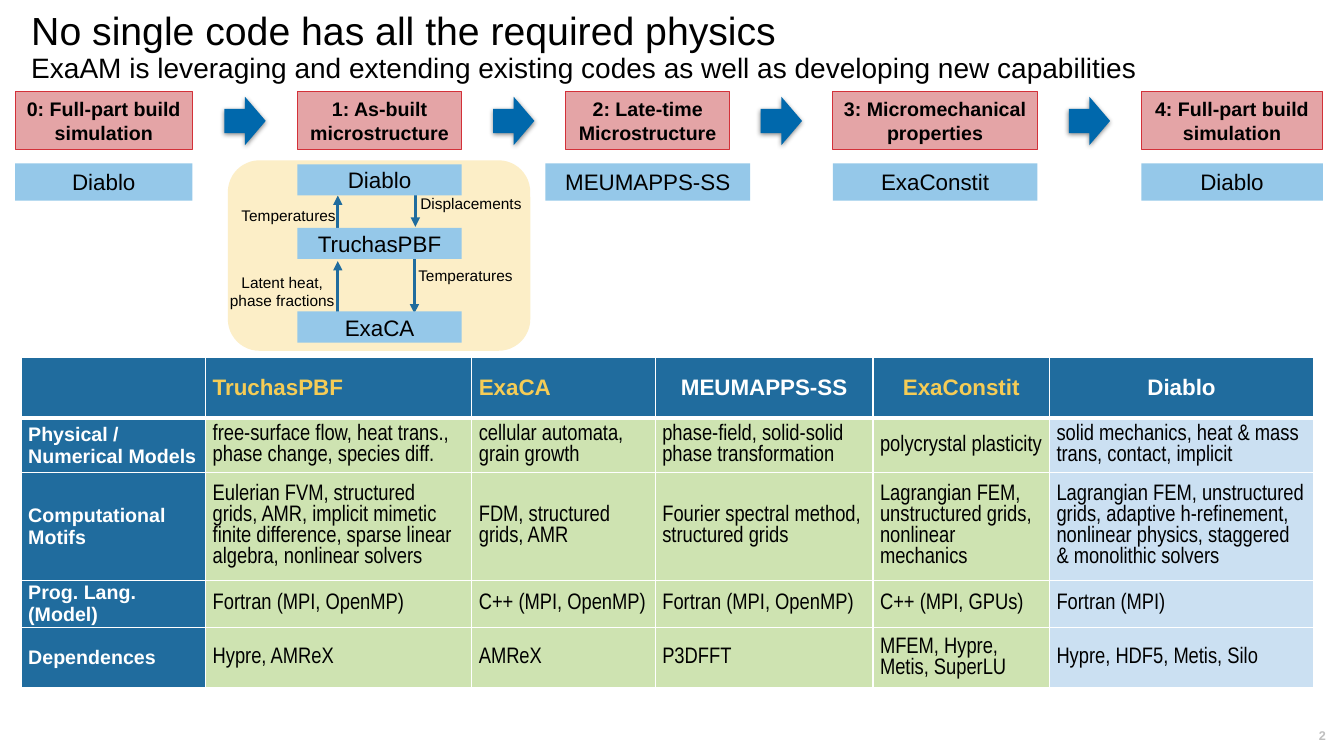
from dataclasses import dataclass
from itertools import pairwise

from lxml.etree import SubElement
from pptx import Presentation
from pptx.dml.color import RGBColor
from pptx.enum.shapes import MSO_CONNECTOR as Connector, MSO_SHAPE as Preset
from pptx.enum.text import MSO_ANCHOR as Anchor, PP_ALIGN as Align
from pptx.oxml import parse_xml
from pptx.oxml.ns import nsdecls, qn
from pptx.util import Inches, Pt

BLACK, WHITE, GOLD = "000000", "FFFFFF", "F5CC56"
NAVY, SKY, GREEN, PALE_BLUE = "206C9E", "95C8E9", "CEE3B1", "CBE0F2"


@dataclass
class Stage:
    text: str
    left: float
    width: float
    code: str = ""
    code_width: float = 0


@dataclass
class Label:
    text: str
    left: float
    top: float
    width: float
    height: float
    align: Align


@dataclass
class Flow:
    x: float
    start: float
    end: float


STAGES = [
    Stage("0: Full-part build simulation", 0.15, 1.76, "Diablo", 1.76),
    Stage("1: As-built microstructure", 2.95, 1.63),
    Stage("2: Late-time Microstructure", 5.61, 1.63, "MEUMAPPS-SS", 2.03),
    Stage("3: Micromechanical properties", 8.26, 2.03, "ExaConstit", 2.03),
    Stage("4: Full-part build simulation", 11.32, 1.8, "Diablo", 1.8),
]
COUPLED_CODES = [("Diablo", 1.63), ("TruchasPBF", 2.26), ("ExaCA", 3.09)]
LABELS = [
    Label("Displacements", 4.07, 1.88, 1.33, 0.29, Align.LEFT),
    Label("Temperatures", 2.2, 2, 1.23, 0.29, Align.RIGHT),
    Label("Temperatures", 4.05, 2.59, 1.28, 0.29, Align.LEFT),
    Label("Latent heat, phase fractions", 2.13, 2.66, 1.34, 0.47, Align.CENTER),
]
FLOWS = [Flow(4.12, 1.93, 2.25), Flow(3.35, 2.26, 1.94),
         Flow(4.11, 2.56, 3.11), Flow(3.35, 3.11, 2.59)]

COLUMN_WIDTHS = [1.83, 2.64, 1.82, 2.16, 1.75, 2.62]
ROW_HEIGHTS = [0.6, 0.54, 1.06, 0.47, 0.6]
ROWS = [
    ["", "TruchasPBF", "ExaCA", "MEUMAPPS-SS", "ExaConstit", "Diablo"],
    ["Physical / Numerical Models",
     "free-surface flow, heat trans., phase change, species diff.",
     "cellular automata, grain growth",
     "phase-field, solid-solid phase transformation",
     "polycrystal plasticity",
     "solid mechanics, heat & mass trans, contact, implicit"],
    ["Computational Motifs",
     "Eulerian FVM, structured grids, AMR, implicit mimetic finite difference, "
     "sparse linear algebra, nonlinear solvers",
     "FDM, structured grids, AMR",
     "Fourier spectral method, structured grids",
     "Lagrangian FEM, unstructured grids, nonlinear mechanics",
     "Lagrangian FEM, unstructured grids, adaptive h-refinement, "
     "nonlinear physics, staggered & monolithic solvers"],
    ["Prog. Lang. (Model)", "Fortran (MPI, OpenMP)", "C++ (MPI, OpenMP)",
     "Fortran (MPI, OpenMP)", "C++ (MPI, GPUs)", "Fortran (MPI)"],
    ["Dependences", "Hypre, AMReX", "AMReX", "P3DFFT",
     "MFEM, Hypre, Metis, SuperLU", "Hypre, HDF5, Metis, Silo"],
]


def rgb(color: str) -> RGBColor:
    return RGBColor.from_string(color)


def write(para, text: str, *, size: float, color: str = BLACK, bold: bool = False,
          font: str = "Arial", align: Align = Align.LEFT) -> None:
    para.alignment = align
    span = para.add_run()
    span.text = text
    span.font.size, span.font.bold, span.font.name = Pt(size), bold, font
    span.font.color.rgb = rgb(color)


def add_box(slide, preset: Preset, left: float, top: float, width: float, height: float,
            fill: str, line: str = "", margin: float = 0.05):
    box = slide.shapes.add_shape(preset, Inches(left), Inches(top), Inches(width), Inches(height))
    box.shadow.inherit = False
    box.fill.solid()
    box.fill.fore_color.rgb = rgb(fill)
    if line:
        box.line.color.rgb = rgb(line)
        box.line.width = Pt(0.75)
    else:
        box.line.fill.background()
    frame = box.text_frame
    frame.word_wrap = True
    frame.vertical_anchor = Anchor.MIDDLE
    frame.margin_top = frame.margin_bottom = Inches(margin)
    return box


def add_code(slide, text: str, left: float, top: float, width: float, height: float,
             margin: float = 0.05) -> None:
    box = add_box(slide, Preset.RECTANGLE, left, top, width, height, SKY, margin=margin)
    write(box.text_frame.paragraphs[0], text, size=16, align=Align.CENTER)


def add_text(slide, label: Label, **style):
    box = slide.shapes.add_textbox(Inches(label.left), Inches(label.top),
                                   Inches(label.width), Inches(label.height))
    box.text_frame.word_wrap = True
    write(box.text_frame.paragraphs[0], label.text, align=label.align, **style)
    return box.text_frame


def add_stage_arrow(slide, left: float) -> None:
    arrow = add_box(slide, Preset.RIGHT_ARROW, left, 0.96, 0.41, 0.48, "0068AC")
    effects = arrow._element.spPr.find(qn("a:effectLst"))
    effects.append(parse_xml(
        f'<a:outerShdw {nsdecls("a")} blurRad="{Pt(3.5)}" dist="{Pt(1.1)}" dir="5400000" '
        'rotWithShape="0"><a:srgbClr val="000000"><a:alpha val="45000"/></a:srgbClr>'
        '</a:outerShdw>'))


def add_flow(slide, flow: Flow) -> None:
    line = slide.shapes.add_connector(Connector.STRAIGHT, Inches(flow.x), Inches(flow.start),
                                      Inches(flow.x), Inches(flow.end))
    line.line.color.rgb = rgb(NAVY)
    line.line.width = Pt(2.25)
    SubElement(line.line._get_or_add_ln(), qn("a:tailEnd"), type="triangle")
    SubElement(line._element.spPr, qn("a:effectLst"))


def set_borders(cell, bottom: float) -> None:
    properties = cell._tc.get_or_add_tcPr()
    for index, (side, width) in enumerate([("L", 1), ("R", 1), ("T", 1), ("B", bottom)]):
        properties.insert(index, parse_xml(
            f'<a:ln{side} {nsdecls("a")} w="{Pt(width)}"><a:solidFill>'
            f'<a:srgbClr val="{WHITE}"/></a:solidFill></a:ln{side}>'))


def cell_style(row: int, column: int) -> tuple[str, dict]:
    """Return the fill and the text format of a table cell."""
    if row == 0:
        own_code = ROWS[0][column] in ("TruchasPBF", "ExaCA", "ExaConstit")
        return NAVY, dict(size=16, bold=True, color=GOLD if own_code else WHITE,
                          align=Align.CENTER if column > 2 else Align.LEFT)
    if column == 0:
        return NAVY, dict(size=14, bold=True, color=WHITE)
    return PALE_BLUE if column == 5 else GREEN, dict(size=16, font="Arial Narrow")


def add_code_table(slide) -> None:
    table = slide.shapes.add_table(len(ROWS), len(COLUMN_WIDTHS), Inches(0.21), Inches(3.55),
                                   Inches(12.82), Inches(3.27)).table
    for column, width in zip(table.columns, COLUMN_WIDTHS):
        column.width = Inches(width)
    for row, height in zip(table.rows, ROW_HEIGHTS):
        row.height = Inches(height)
    for r, texts in enumerate(ROWS):
        for c, text in enumerate(texts):
            cell = table.cell(r, c)
            fill, style = cell_style(r, c)
            cell.fill.solid()
            cell.fill.fore_color.rgb = rgb(fill)
            set_borders(cell, 3 if r == 0 else 1)
            cell.vertical_anchor = Anchor.MIDDLE
            cell.margin_left = cell.margin_right = Inches(0.07)
            cell.margin_top = cell.margin_bottom = 0
            if text:
                write(cell.text_frame.paragraphs[0], text, **style)


def add_title(slide) -> None:
    title = slide.shapes.title
    title.left, title.top, title.width, title.height = map(Inches, (0.21, 0.07, 12.75, 0.77))
    title.text_frame.vertical_anchor = Anchor.TOP
    para = title.text_frame.paragraphs[0]
    para.line_spacing = 0.9
    write(para, "No single code has all the required physics", size=28)
    para.add_line_break()
    write(para, "ExaAM is leveraging and extending existing codes as well as "
                "developing new capabilities", size=20)


def main() -> None:
    deck = Presentation()
    deck.slide_width, deck.slide_height = Inches(13.33), Inches(7.5)
    slide = deck.slides.add_slide(deck.slide_layouts[5])
    add_title(slide)

    # Stages with their codes, and an arrow centred in each gap
    for stage in STAGES:
        box = add_box(slide, Preset.RECTANGLE, stage.left, 0.91, stage.width, 0.57,
                      "E4A4A6", "D33139")
        write(box.text_frame.paragraphs[0], stage.text, size=14, bold=True, align=Align.CENTER)
        if stage.code:
            left = stage.left + (stage.width - stage.code_width) / 2
            add_code(slide, stage.code, left, 1.62, stage.code_width, 0.37)
    for before, after in pairwise(STAGES):
        add_stage_arrow(slide, (before.left + before.width + after.left - 0.41) / 2)

    # Coupled codes of stage 1
    add_box(slide, Preset.ROUNDED_RECTANGLE, 2.26, 1.59, 3, 1.89, "FCEEC7")
    for flow in FLOWS:
        add_flow(slide, flow)
    for code, top in COUPLED_CODES:
        add_code(slide, code, 2.95, top, 1.63, 0.31, margin=0.02)
    for label in LABELS:
        add_text(slide, label, size=11)

    # Code comparison and page number
    add_code_table(slide)
    number = add_text(slide, Label("2", 12.96, 7.21, 0.31, 0.17, Align.CENTER),
                      size=9, color="BFBFBF", bold=True)
    number.margin_left = number.margin_right = number.margin_top = number.margin_bottom = 0
    number.vertical_anchor = Anchor.MIDDLE
    deck.save("out.pptx")


if __name__ == "__main__":
    main()
